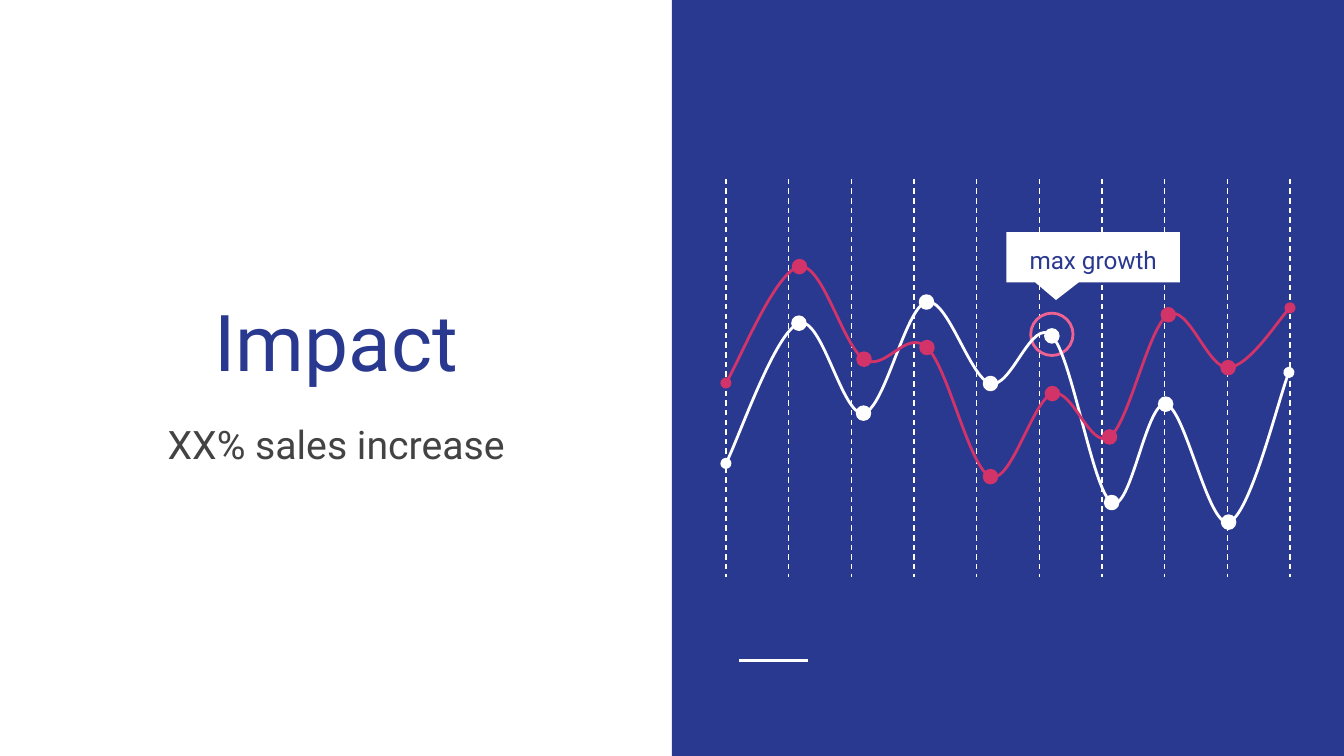
import pptx
import pptx.util
import pptx.dml.color
import pptx.enum.dml
import pptx.enum.shapes
import pptx.enum.text
import pptx.oxml.ns
from lxml import etree

Cm, Pt = pptx.util.Cm, pptx.util.Pt
RGBColor = pptx.dml.color.RGBColor
MSO_SHAPE = pptx.enum.shapes.MSO_SHAPE
ANCHOR = pptx.enum.text.MSO_ANCHOR
qn = pptx.oxml.ns.qn

NAVY = RGBColor(0x2A, 0x39, 0x90)
WHITE = RGBColor(0xFF, 0xFF, 0xFF)
CRIMSON = RGBColor(0xD2, 0x33, 0x69)
PINK = RGBColor(0xF0, 0x62, 0x92)
GREY = RGBColor(0x43, 0x43, 0x43)


def set_text(sp, text, size=21, color=GREY, anchor=ANCHOR.TOP, spacing=1.0):
    tf = sp.text_frame
    tf.text = text
    tf.word_wrap = True
    tf.auto_size = pptx.enum.text.MSO_AUTO_SIZE.NONE
    tf.vertical_anchor = anchor
    tf.margin_left = tf.margin_right = tf.margin_top = tf.margin_bottom = Cm(0.25)
    p = tf.paragraphs[0]
    p.alignment = pptx.enum.text.PP_ALIGN.CENTER
    p.line_spacing = spacing
    p.space_before = Pt(0)
    font = p.runs[0].font
    font.name, font.size, font.color.rgb = "Roboto", Pt(size), color


def style(sp, fill=None, line=None, width=1.5):
    if hasattr(sp, "fill"):
        sp.shadow.inherit = False
        if fill is None:
            sp.fill.background()
        else:
            sp.fill.solid()
            sp.fill.fore_color.rgb = fill
    else:
        etree.SubElement(sp._element.spPr, qn("a:effectLst"))
    if line is None:
        sp.line.fill.background()
    else:
        sp.line.color.rgb = line
        sp.line.width = Pt(width)


prs = pptx.Presentation()
prs.slide_width, prs.slide_height = Cm(25.4), Cm(14.29)
s = prs.slides.add_slide(prs.slide_layouts[0])

title, subtitle = s.placeholders
for sp, top, height in ((title, 3.22, 4.34), (subtitle, 7.7, 3.53)):
    sp.left, sp.top, sp.width, sp.height = Cm(0.74), Cm(top), Cm(11.23), Cm(height)
set_text(title, "Impact", size=42, color=NAVY, anchor=ANCHOR.BOTTOM)
set_text(subtitle, "XX% sales increase")

panel = s.shapes.add_shape(MSO_SHAPE.RECTANGLE, Cm(12.7), 0, Cm(12.7), prs.slide_height)
style(panel, fill=NAVY)

STRAIGHT = pptx.enum.shapes.MSO_CONNECTOR.STRAIGHT
accent = s.shapes.add_connector(STRAIGHT, Cm(13.97), Cm(12.49), Cm(15.27), Cm(12.49))
style(accent, line=WHITE)

grid = s.shapes.add_group_shape()
for i in range(10):
    x = Cm(13.72 + i * 10.66 / 9)
    gridline = grid.shapes.add_connector(STRAIGHT, x, Cm(3.38), x, Cm(10.9))
    style(gridline, line=WHITE, width=0.75)
    gridline.line.dash_style = pptx.enum.dml.MSO_LINE.DASH

ring = s.shapes.add_shape(MSO_SHAPE.OVAL, Cm(19.48), Cm(5.92), Cm(0.8), Cm(0.8))
style(ring, line=PINK)

white_points = [(13.72, 8.76), (15.1, 6.11), (16.32, 7.81), (17.51, 5.71), (18.72, 7.25),
                (19.88, 6.35), (21.01, 9.5), (22.03, 7.64), (23.22, 9.87), (24.36, 7.04)]
red_points = [(13.72, 7.24), (15.11, 5.04), (16.33, 6.79), (17.52, 6.57), (18.72, 9.01),
              (19.89, 7.44), (20.97, 8.26), (22.08, 5.95), (23.21, 6.95), (24.38, 5.82)]
DOT = 0.24

for color, points in ((WHITE, white_points), (CRIMSON, red_points)):
    series = s.shapes.add_group_shape()
    knots = [(Cm(x), Cm(y)) for x, y in points]
    builder = series.shapes.build_freeform(*knots[0])
    builder.add_line_segments(knots[1:], close=False)
    trend = builder.convert_to_shape()
    style(trend, line=color)

    padded = [knots[0]] + knots + [knots[-1]]
    segments = list(trend._element.iter(qn("a:lnTo")))
    for segment, a, b, c, d in zip(segments, padded, padded[1:], padded[2:], padded[3:]):
        bezier = etree.Element(qn("a:cubicBezTo"))
        start_control = [b[k] + (c[k] - a[k]) / 6 for k in (0, 1)]
        end_control = [c[k] - (d[k] - b[k]) / 6 for k in (0, 1)]
        for x, y in (start_control, end_control, c):
            etree.SubElement(bezier, qn("a:pt"),
                             x=str(round(x - trend.left)), y=str(round(y - trend.top)))
        segment.getparent().replace(segment, bezier)

    ln = trend._element.spPr.find(qn("a:ln"))
    for end in ("a:headEnd", "a:tailEnd"):
        etree.SubElement(ln, qn(end), type="oval", w="med", len="med")
    for x, y in points[1:-1]:
        dot = series.shapes.add_shape(
            MSO_SHAPE.OVAL, Cm(x - DOT / 2), Cm(y - DOT / 2), Cm(DOT), Cm(DOT))
        style(dot, fill=color, line=color)

callout = s.shapes.add_shape(
    MSO_SHAPE.ROUNDED_RECTANGULAR_CALLOUT, Cm(19.02), Cm(4.39), Cm(3.28), Cm(0.95))
for i, value in enumerate((-0.214, 0.85, 0)):
    callout.adjustments[i] = value
style(callout, fill=WHITE)
label = s.shapes.add_textbox(Cm(19.02), Cm(4.47), Cm(3.28), Cm(0.79))
set_text(label, "max growth", size=13, color=NAVY, anchor=ANCHOR.MIDDLE, spacing=1.15)

prs.save("out.pptx")
